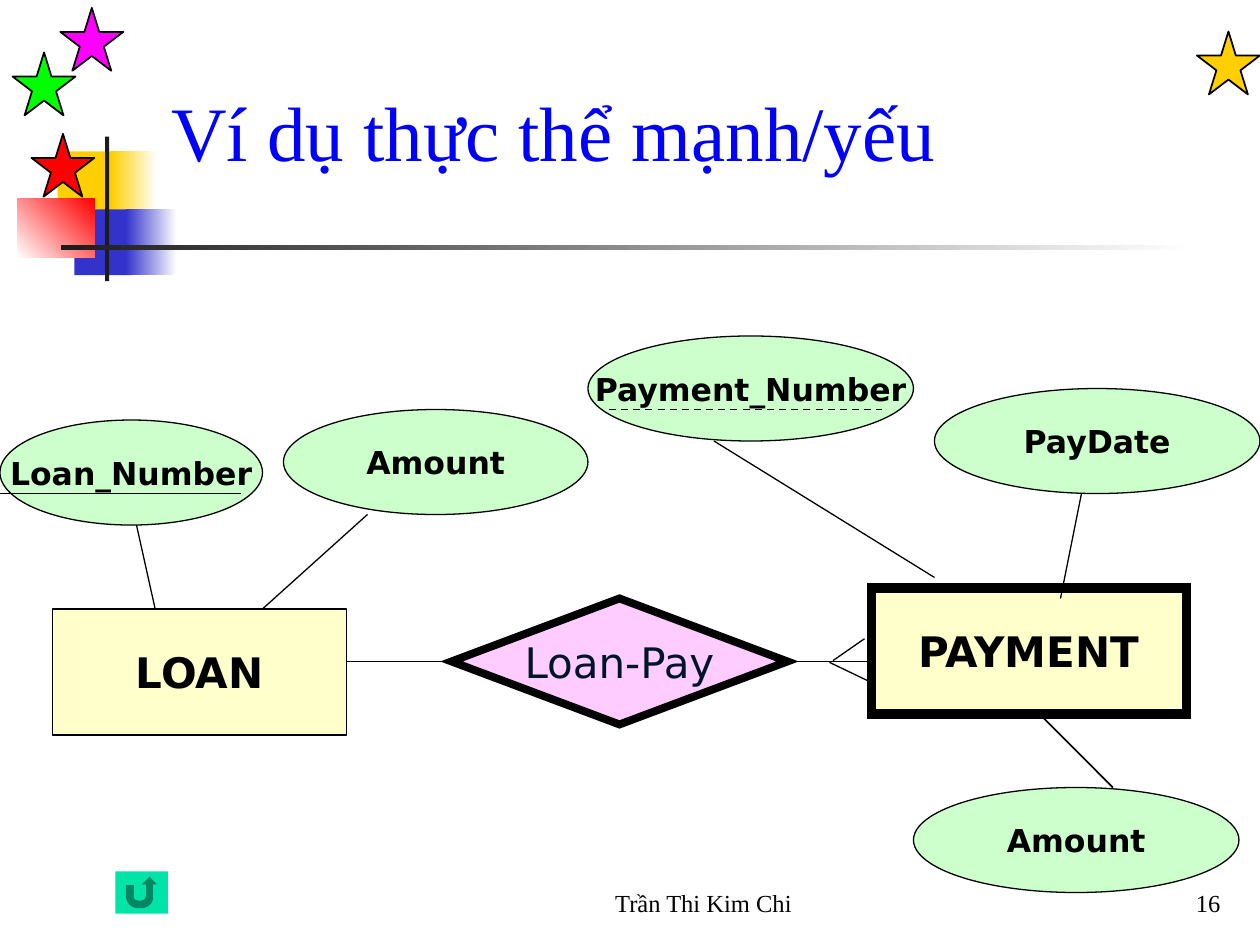
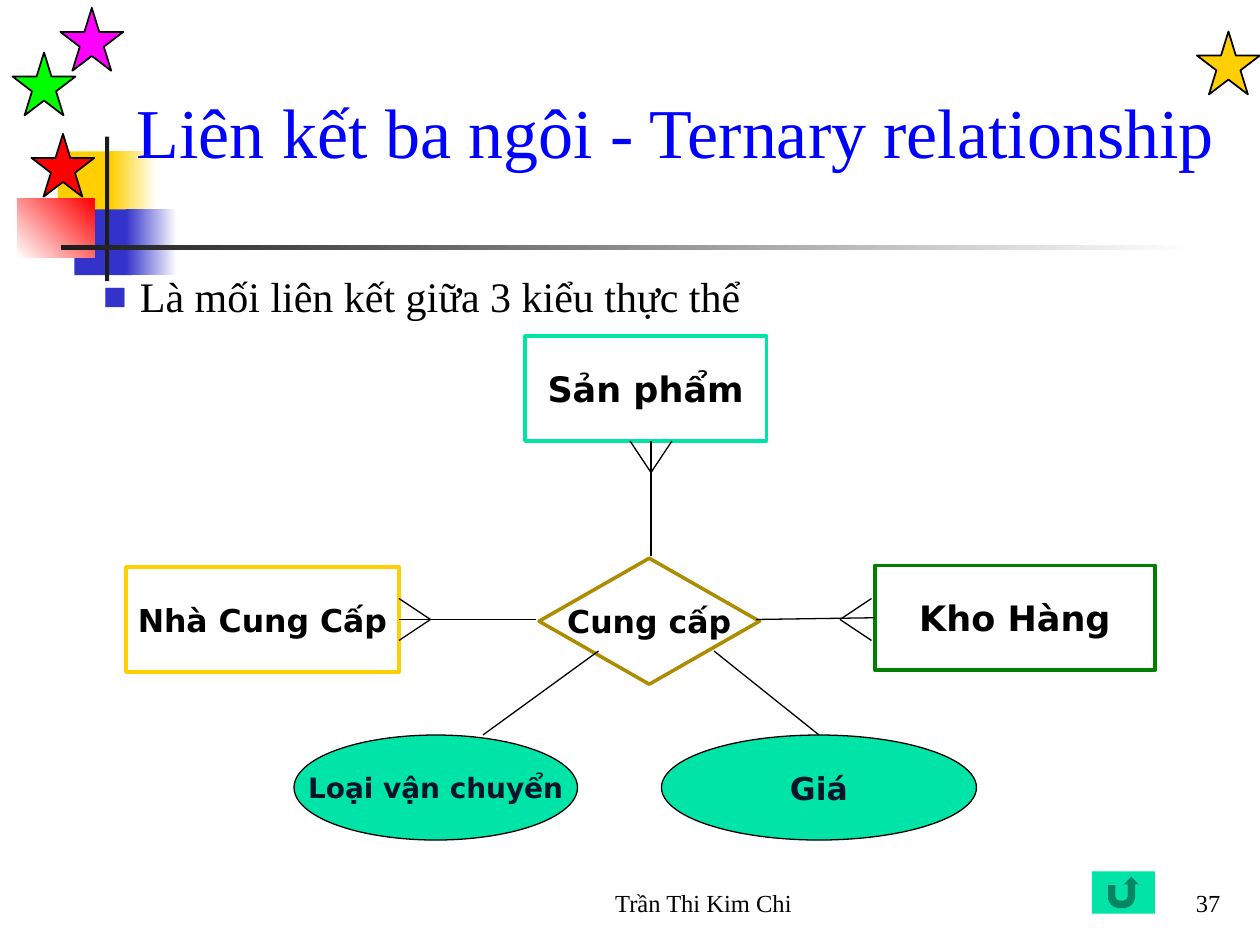
"""Build two slides of entity diagrams that share one decorated frame."""
from dataclasses import dataclass

from lxml.etree import SubElement
from pptx import Presentation
from pptx.dml.color import RGBColor as Rgb
from pptx.enum.dml import MSO_LINE as Dash
from pptx.enum.shapes import MSO_CONNECTOR as Link, MSO_SHAPE as Kind
from pptx.enum.text import MSO_ANCHOR as Anchor, PP_ALIGN as Align
from pptx.oxml.ns import qn
from pptx.slide import Slide
from pptx.util import Pt

HUES = {
    "white": "FFFFFF", "black": "000000", "ink": "1C1C1C", "navy": "00152A",
    "title": "0000FF", "blue": "3333CC", "gold": "FFCF01", "red": "FF0000",
    "lime": "00FF00", "pink": "FF00FF", "cream": "FFFFCC", "mint": "CCFFCC",
    "rose": "FFCCFF", "teal": "00E4A8", "green": "008000", "bronze": "AD8C01",
}
SERIF = "Times New Roman"
SANS = "DejaVu Sans"
AUTHOR = "Trần Thi Kim Chi"
STAR = 36


@dataclass
class Block:
    x: float
    y: float
    w: float
    h: float
    hue: str
    fade: str = ""
    angle: int = 0


@dataclass
class Node:
    kind: Kind
    x: float
    y: float
    w: float
    h: float
    text: str
    fill: str
    size: int = 18
    edge: str = "black"
    width: float = 0.75
    ink: str = "black"
    bold: bool = True


@dataclass
class Wire:
    x: float
    y: float
    to_x: float
    to_y: float
    width: float = 0.75
    dash: bool = False
    head: tuple = ()
    tail: tuple = ()


BLOCKS = [
    Block(33, 86.5, 34.5, 37.5, "gold"),
    Block(63.5, 86.5, 26, 37.5, "gold", "white"),
    Block(42.5, 119.7, 33, 37.5, "blue"),
    Block(72, 119.7, 29, 37.5, "blue", "white"),
    Block(10, 113.7, 44, 33.5, "white", "red", 45),
    Block(60, 78, 2.4, 82.7, "ink"),
    Block(34.7, 140.2, 648, 2.5, "ink", "white"),
]
STARS = [(684, 18, "gold"), (18, 76.5, "red"), (7.2, 30, "lime"), (34.5, 4.5, "pink")]

BOX, OVAL, GEM = Kind.RECTANGLE, Kind.OVAL, Kind.DIAMOND

LOAN_BACK = [
    Node(BOX, 498, 336, 180, 72, "PAYMENT", "cream", 24, width=5.5),
    Node(GEM, 258, 342, 192, 72, "Loan-Pay", "rose", 24, width=4.5, ink="navy", bold=False),
]
LOAN_WIRES = [
    Wire(198, 378, 258, 378, tail=("Loan-Pay", 1)),
    Wire(450, 378, 498, 378, head=("Loan-Pay", 3)),
    Wire(476, 377.5, 494, 365),
    Wire(474, 378.5, 498, 390),
    Wire(78, 300, 90, 354),
    Wire(210, 294, 150, 348),
    Wire(408, 252, 534, 330),
    Wire(618, 282, 606, 342),
]
LOAN_FRONT = [
    Node(OVAL, 0, 240, 150, 60, "Loan_Number", "mint"),
    Node(OVAL, 336, 192, 186, 60, "Payment_Number", "mint"),
    Node(OVAL, 522, 450, 186, 60, "Amount", "mint"),
    Node(BOX, 30, 348, 168, 72, "LOAN", "cream", 24),
    Node(OVAL, 162, 234, 174, 60, "Amount", "mint"),
    Node(OVAL, 534, 222, 186, 60, "PayDate", "mint"),
]
KEY_WIRES = [
    Wire(594, 408, 636, 450, 1),
    Wire(348, 234, 504, 234, 1, dash=True),
    Wire(0, 282, 138, 282, 1),
]

TRIO = [
    Node(BOX, 300, 192, 138, 60, "Sản phẩm", "white", 20, "teal", 2),
    Node(BOX, 72, 324, 156, 60, "Nhà Cung Cấp", "white", 18, "gold", 2),
    Node(BOX, 500, 323, 160, 60, "Kho Hàng", "white", 20, "green", 2),
    Node(GEM, 308, 319, 126, 72, "Cung cấp", "white", 18, "bronze", 2),
    Node(OVAL, 168, 420, 162, 60, "Loại vận chuyển", "teal", 16, ink="navy"),
    Node(OVAL, 378, 420, 180, 60, "Giá", "teal", ink="navy"),
]
TRIO_WIRES = [
    Wire(372, 318, 372, 252),
    Wire(306, 354, 228, 354, tail=("Nhà Cung Cấp", 3)),
    Wire(432, 354, 498, 354, tail=("Kho Hàng", 1)),
    Wire(342, 372, 276, 420),
    Wire(408, 372, 468, 420),
]
FEET = [(246, 354, -18, 0), (480, 354, 18, 0), (372, 270, 0, -18)]
SPREAD = 12


def tint(hue: str) -> Rgb:
    """Return the named colour."""
    return Rgb.from_string(HUES[hue])


def write(para, text: str, font: str, size: int, hue: str, bold: bool = False) -> None:
    """Add one styled run to a paragraph."""
    run = para.add_run()
    run.text = text
    face = run.font
    face.name, face.size, face.bold = font, Pt(size), bold
    face.color.rgb = tint(hue)


def shape(slide: Slide, kind: Kind, x: float, y: float, w: float, h: float,
          fill: str, edge: str = "", width: float = 1):
    """Add a flat preset shape."""
    item = slide.shapes.add_shape(kind, Pt(x), Pt(y), Pt(w), Pt(h))
    item.shadow.inherit = False
    item.fill.solid()
    item.fill.fore_color.rgb = tint(fill)
    if edge:
        item.line.color.rgb = tint(edge)
        item.line.width = Pt(width)
    else:
        item.line.fill.background()
    return item


def label(slide: Slide, x: float, y: float, w: float, h: float, text: str, size: int,
          hue: str = "black", anchor: Anchor = Anchor.BOTTOM, align: Align = Align.LEFT):
    """Add a wrapped serif text box."""
    box = slide.shapes.add_textbox(Pt(x), Pt(y), Pt(w), Pt(h))
    frame = box.text_frame
    frame.word_wrap = True
    frame.vertical_anchor = anchor
    para = frame.paragraphs[0]
    para.alignment = align
    write(para, text, SERIF, size, hue)
    return frame


def nodes(slide: Slide, items: list[Node]) -> dict:
    """Draw labelled nodes and return them by text."""
    drawn = {}
    for n in items:
        item = shape(slide, n.kind, n.x, n.y, n.w, n.h, n.fill, n.edge, n.width)
        if n.width > 4:
            SubElement(item.line._get_or_add_ln(), qn("a:miter"), lim="800000")
        frame = item.text_frame
        frame.word_wrap = False
        frame.vertical_anchor = Anchor.MIDDLE
        para = frame.paragraphs[0]
        para.alignment = Align.CENTER
        write(para, n.text, SANS, n.size, n.ink, n.bold)
        drawn[n.text] = item
    return drawn


def wires(slide: Slide, items: list[Wire], drawn: dict) -> None:
    """Draw straight lines, joined to nodes where named."""
    for w in items:
        line = slide.shapes.add_connector(
            Link.STRAIGHT, Pt(w.x), Pt(w.y), Pt(w.to_x), Pt(w.to_y))
        line.line.color.rgb = tint("black")
        line.line.width = Pt(w.width)
        if w.dash:
            line.line.dash_style = Dash.DASH
        SubElement(line._element.spPr, qn("a:effectLst"))
        if w.head:
            line.begin_connect(drawn[w.head[0]], w.head[1])
        if w.tail:
            line.end_connect(drawn[w.tail[0]], w.tail[1])


def prongs(x: float, y: float, dx: float, dy: float) -> list[Wire]:
    """Return the two outer lines of a crow's foot."""
    return [Wire(x, y, x + dx + (side if dy else 0), y + dy + (side if dx else 0))
            for side in (-SPREAD, SPREAD)]


def bullet(slide: Slide, text: str) -> None:
    """Add the body text with a small square bullet."""
    frame = label(slide, 44.6, 147.6, 644.4, 36, text, 24, anchor=Anchor.TOP)
    frame.margin_left, frame.margin_top = Pt(14.4), Pt(7.2)
    props = frame.paragraphs[0]._p.get_or_add_pPr()
    props.set("marL", str(Pt(21)))
    props.set("indent", str(-Pt(21)))
    SubElement(SubElement(props, qn("a:buClr")), qn("a:srgbClr"), val=HUES["blue"])
    SubElement(props, qn("a:buSzPct"), val="60000")
    SubElement(props, qn("a:buFont"), typeface=SANS)
    SubElement(props, qn("a:buChar"), char="■")


def start(deck, title: str, size: int, x: float, w: float, page: int) -> Slide:
    """Add a slide with its decoration, title and footer."""
    slide = deck.slides.add_slide(deck.slide_layouts[6])
    for b in BLOCKS:
        item = shape(slide, BOX, b.x, b.y, b.w, b.h, b.hue)
        if b.fade:
            item.fill.gradient()
            item.fill.gradient_angle = b.angle
            for stop, hue, spot in zip(item.fill.gradient_stops, (b.hue, b.fade), (0, 1)):
                stop.color.rgb = tint(hue)
                stop.position = spot
    for left, top, hue in STARS:
        shape(slide, Kind.STAR_5_POINT, left, top, STAR, STAR, hue, "black")
    label(slide, x, 17, w, 115, title, size, "title", Anchor.MIDDLE)
    label(slide, 554.5, 492, 150, 36, str(page), 14, align=Align.RIGHT)
    label(slide, 288, 492, 228, 36, AUTHOR, 14, align=Align.CENTER)
    return slide


def back(slide: Slide, x: float, w: float) -> None:
    """Add the return button."""
    shape(slide, Kind.ACTION_BUTTON_RETURN, x, 498, w, 24, "teal")


def main() -> None:
    """Build and save the deck."""
    deck = Presentation()
    deck.slide_width, deck.slide_height = Pt(720), Pt(540)

    loan = start(deck, "Ví dụ thực thể mạnh/yếu", 44, 90.7, 613.5, 16)
    drawn = nodes(loan, LOAN_BACK)
    wires(loan, LOAN_WIRES, drawn)
    nodes(loan, LOAN_FRONT)
    wires(loan, KEY_WIRES, drawn)
    back(loan, 66, 30)

    trio = start(deck, "Liên kết ba ngôi - Ternary relationship", 40, 71, 648, 37)
    bullet(trio, "Là mối liên kết giữa 3 kiểu thực thể")
    drawn = nodes(trio, TRIO)
    feet = [wire for foot in FEET for wire in prongs(*foot)]
    wires(trio, TRIO_WIRES + feet, drawn)
    back(trio, 624, 36)

    deck.save("out.pptx")


if __name__ == "__main__":
    main()
